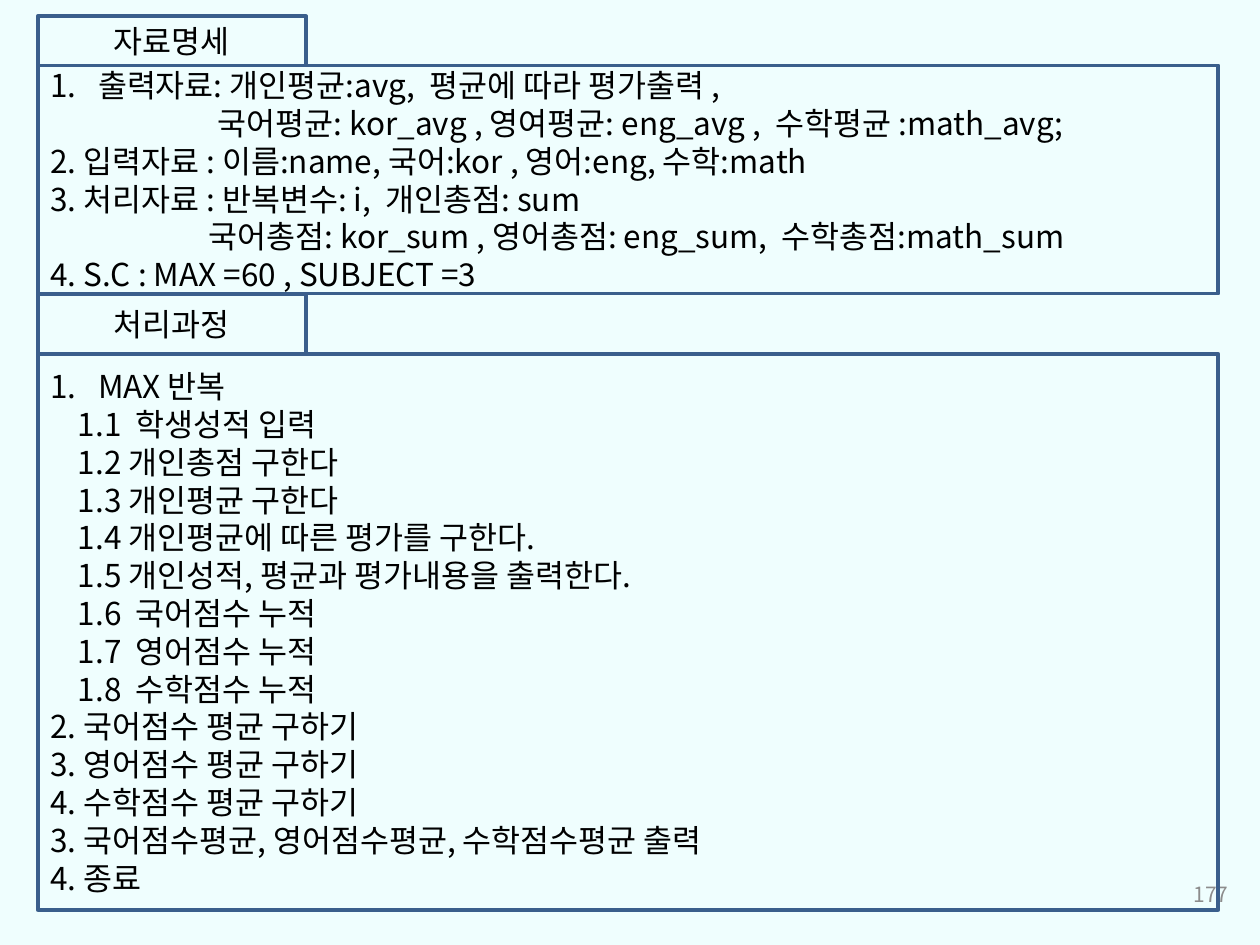
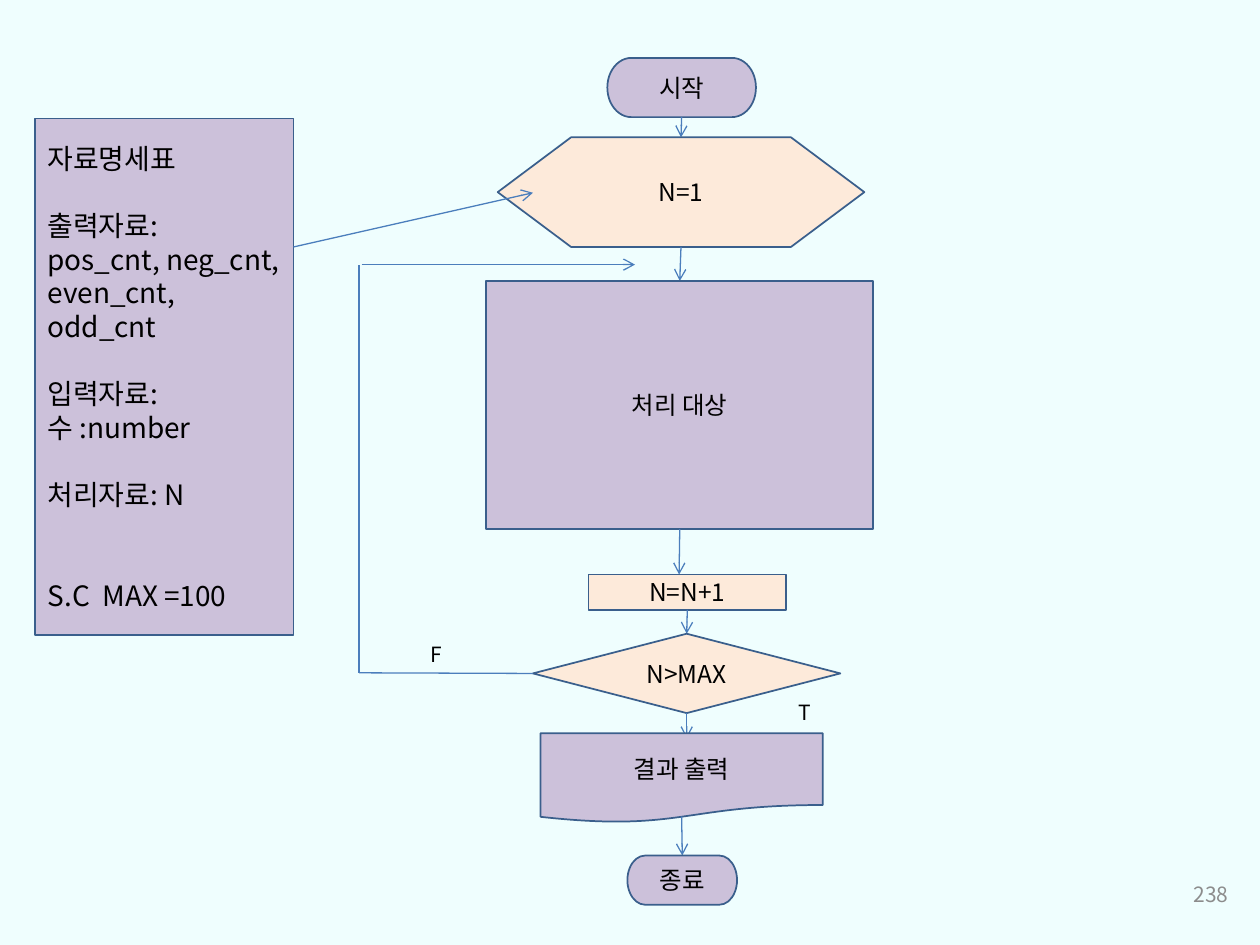
"""Build a program specification slide and its flowchart slide."""
from dataclasses import dataclass

from lxml.etree import SubElement
from pptx import Presentation
from pptx.dml.color import RGBColor
from pptx.enum.shapes import MSO_CONNECTOR as Link, MSO_SHAPE as Form
from pptx.enum.text import MSO_ANCHOR as Anchor, PP_ALIGN as Align
from pptx.oxml.ns import qn
from pptx.util import Inches, Pt


@dataclass(frozen=True)
class Theme:
    font: str = "Noto Sans CJK KR"
    background: str = "EFFEFE"
    ink: str = "000000"
    muted: str = "8C8C8C"
    outline: str = "3A5F8C"
    arrow: str = "4B7EBC"
    lilac: str = "CCC1DA"
    peach: str = "FDEADA"
    spec_size: float = 18
    data_size: float = 16
    step_size: float = 14
    small_size: float = 12
    frame_width: float = 2.25
    step_width: float = 1
    arrow_width: float = 0.75


THEME = Theme()
LINE_HEIGHT = 1.2

SPEC_LEFT, SPEC_TOP, TAB_WIDTH, BODY_WIDTH = 0.3, 0.13, 2.13, 9.37
SUBSTEP = {"indent": 0.22}
SPEC_SECTIONS = [
    ("자료명세", 0.39, 1.81, [
        ("출력자료: 개인평균:avg,  평균에 따라 평가출력 ,", {"numbered": True}),
        ("국어평균: kor_avg , 영여평균: eng_avg ,  수학평균 :math_avg;", {"indent": 1.33}),
        ("2. 입력자료 : 이름:name, 국어:kor , 영어:eng, 수학:math", {}),
        ("3. 처리자료 : 반복변수: i,  개인총점: sum", {}),
        ("국어총점: kor_sum , 영어총점: eng_sum,  수학총점:math_sum", {"indent": 1.26}),
        ("4. S.C : MAX =60 , SUBJECT =3", {}),
    ]),
    ("처리과정", 0.48, 4.41, [
        ("MAX 반복", {"numbered": True}),
        ("1.1  학생성적 입력", SUBSTEP),
        ("1.2 개인총점 구한다", SUBSTEP),
        ("1.3 개인평균 구한다", SUBSTEP),
        ("1.4 개인평균에 따른 평가를 구한다.", SUBSTEP),
        ("1.5 개인성적, 평균과 평가내용을 출력한다.", SUBSTEP),
        ("1.6  국어점수 누적", SUBSTEP),
        ("1.7  영어점수 누적", SUBSTEP),
        ("1.8  수학점수 누적", SUBSTEP),
        ("2. 국어점수 평균 구하기", {}),
        ("3. 영어점수 평균 구하기", {}),
        ("4. 수학점수 평균 구하기", {}),
        ("3. 국어점수평균, 영어점수평균, 수학점수평균 출력", {}),
        ("4. 종료", {}),
    ]),
]

DATA_BOX = (0.28, 0.94, 2.05, 4.1)
DATA_LINES = [
    ("자료명세표", {}),
    ("출력자료:", {"skip": 1}),
    ("pos_cnt, neg_cnt,", {}),
    ("even_cnt, odd_cnt", {}),
    ("입력자료:", {"skip": 1}),
    ("수 :number", {}),
    ("처리자료: N", {"skip": 1}),
    ("S.C  MAX =100", {"skip": 2}),
]

STEPS = [
    ("시작", Form.FLOWCHART_TERMINATOR, THEME.lilac, (4.82, 0.46, 1.18, 0.47)),
    ("N=1", Form.FLOWCHART_PREPARATION, THEME.peach, (3.95, 1.09, 2.91, 0.87)),
    ("처리 대상", Form.RECTANGLE, THEME.lilac, (3.86, 2.23, 3.07, 1.97)),
    ("N=N+1", Form.RECTANGLE, THEME.peach, (4.67, 4.56, 1.57, 0.28)),
    ("N>MAX", Form.FLOWCHART_DECISION, THEME.peach, (4.23, 5.03, 2.44, 0.63)),
    ("결과 출력", Form.FLOWCHART_DOCUMENT, THEME.lilac, (4.29, 5.82, 2.24, 0.71)),
    ("종료", Form.FLOWCHART_TERMINATOR, THEME.lilac, (4.98, 6.79, 0.87, 0.39)),
]
EXITS = {
    "시작": ((5.41, 0.93), (5.41, 1.09)),
    "N=1": ((5.41, 1.96), (5.39, 2.23)),
    "처리 대상": ((5.39, 4.2), (5.39, 4.56)),
    "N=N+1": ((5.45, 4.84), (5.45, 5.03)),
    "N>MAX": ((5.45, 5.66), (5.45, 5.86)),
    "결과 출력": ((5.41, 6.48), (5.41, 6.79)),
}
LOOSE_STARTS = {"결과 출력"}
LOOSE_ENDS = {"N=N+1", "결과 출력"}
LOOP_X, LOOP_TOP, LOOP_BOTTOM = 2.85, 2.1, 5.34
BRANCHES = [("T", (6.24, 5.5, 0.43, 0.3)), ("F", (3.32, 5.04, 0.43, 0.3))]
PAGE_BOX = (7.52, 6.9, 2.33, 0.4)


def apply(target, values):
    for key, value in values.items():
        setattr(target, key, value)


def rgb(code):
    return RGBColor.from_string(code)


def write(shape, lines, size, align=Align.LEFT, anchor=Anchor.MIDDLE, color=THEME.ink):
    frame = shape.text_frame
    apply(frame, {"word_wrap": True, "vertical_anchor": anchor})
    for number, (text, layout) in enumerate(lines):
        paragraph = frame.add_paragraph() if number else frame.paragraphs[0]
        paragraph.alignment = align
        properties = paragraph._p.get_or_add_pPr()
        if "indent" in layout:
            properties.set("marL", str(Inches(layout["indent"])))
        if "skip" in layout:
            paragraph.space_before = Pt(layout["skip"] * size * LINE_HEIGHT)
        if "numbered" in layout:
            properties.set("marL", str(Inches(0.38)))
            properties.set("indent", str(-Inches(0.38)))
            SubElement(properties, qn("a:buFont"), typeface="+mj-lt")
            SubElement(properties, qn("a:buAutoNum"), type="arabicPeriod")
        run = paragraph.add_run()
        run.text = text
        apply(run.font, {"size": Pt(size), "name": THEME.font})
        run.font.color.rgb = rgb(color)
        SubElement(run._r.get_or_add_rPr(), qn("a:ea"), typeface=THEME.font)


def add_label(slide, text, box, **style):
    label = slide.shapes.add_textbox(*map(Inches, box))
    write(label, [(text, {})], THEME.small_size, **style)


def add_block(slide, form, box, lines, size, width, fill=None, align=Align.CENTER):
    block = slide.shapes.add_shape(form, *map(Inches, box))
    block.shadow.inherit = False
    if fill:
        block.fill.solid()
        block.fill.fore_color.rgb = rgb(fill)
    else:
        block.fill.background()
    block.line.color.rgb = rgb(THEME.outline)
    block.line.width = Pt(width)
    write(block, lines, size, align)
    return block


def add_link(slide, start, end, arrow=True):
    link = slide.shapes.add_connector(Link.STRAIGHT, *map(Inches, start + end))
    link.line.color.rgb = rgb(THEME.arrow)
    link.line.width = Pt(THEME.arrow_width)
    if arrow:
        SubElement(link.line._get_or_add_ln(), qn("a:tailEnd"), type="arrow")
    SubElement(link._element.spPr, qn("a:effectLst"))
    return link


def add_page(deck, number):
    slide = deck.slides.add_slide(deck.slide_layouts[6])
    slide.background.fill.solid()
    slide.background.fill.fore_color.rgb = rgb(THEME.background)
    add_label(slide, number, PAGE_BOX, align=Align.RIGHT, color=THEME.muted)
    return slide


def build_specification(deck):
    slide = add_page(deck, "177")
    style = {"size": THEME.spec_size, "width": THEME.frame_width}
    top = SPEC_TOP
    for title, tab_height, body_height, lines in SPEC_SECTIONS:
        tab = (SPEC_LEFT, top, TAB_WIDTH, tab_height)
        body = (SPEC_LEFT, top + tab_height, BODY_WIDTH, body_height)
        add_block(slide, Form.RECTANGLE, body, lines, align=Align.LEFT, **style)
        add_block(slide, Form.RECTANGLE, tab, [(title, {})], **style)
        top += tab_height + body_height


def build_flowchart(deck):
    slide = add_page(deck, "238")
    steps, incoming = {}, None
    for text, form, fill, box in STEPS:
        step = add_block(slide, form, box, [(text, {})], THEME.step_size, THEME.step_width, fill)
        steps[text] = step
        if incoming and text not in LOOSE_ENDS:
            incoming.end_connect(step, 0)
        if text in EXITS:
            incoming = add_link(slide, *EXITS[text])
            if text not in LOOSE_STARTS:
                incoming.begin_connect(step, 2)

    add_link(slide, (LOOP_X, LOOP_BOTTOM), (LOOP_X, LOOP_TOP), arrow=False)
    add_link(slide, (LOOP_X + 0.02, LOOP_TOP), (5.04, LOOP_TOP))
    repeat = add_link(slide, (4.23, LOOP_BOTTOM), (LOOP_X, LOOP_BOTTOM), arrow=False)
    repeat.begin_connect(steps["N>MAX"], 1)
    for text, box in BRANCHES:
        add_label(slide, text, box, anchor=Anchor.TOP)

    data = add_block(slide, Form.RECTANGLE, DATA_BOX, DATA_LINES, THEME.data_size,
                     THEME.step_width, THEME.lilac, Align.LEFT)
    add_link(slide, (2.33, 1.96), (4.23, 1.53))


def main():
    deck = Presentation()
    apply(deck, {"slide_width": Inches(10), "slide_height": Inches(7.5)})
    build_specification(deck)
    build_flowchart(deck)
    deck.save("out.pptx")


if __name__ == "__main__":
    main()
